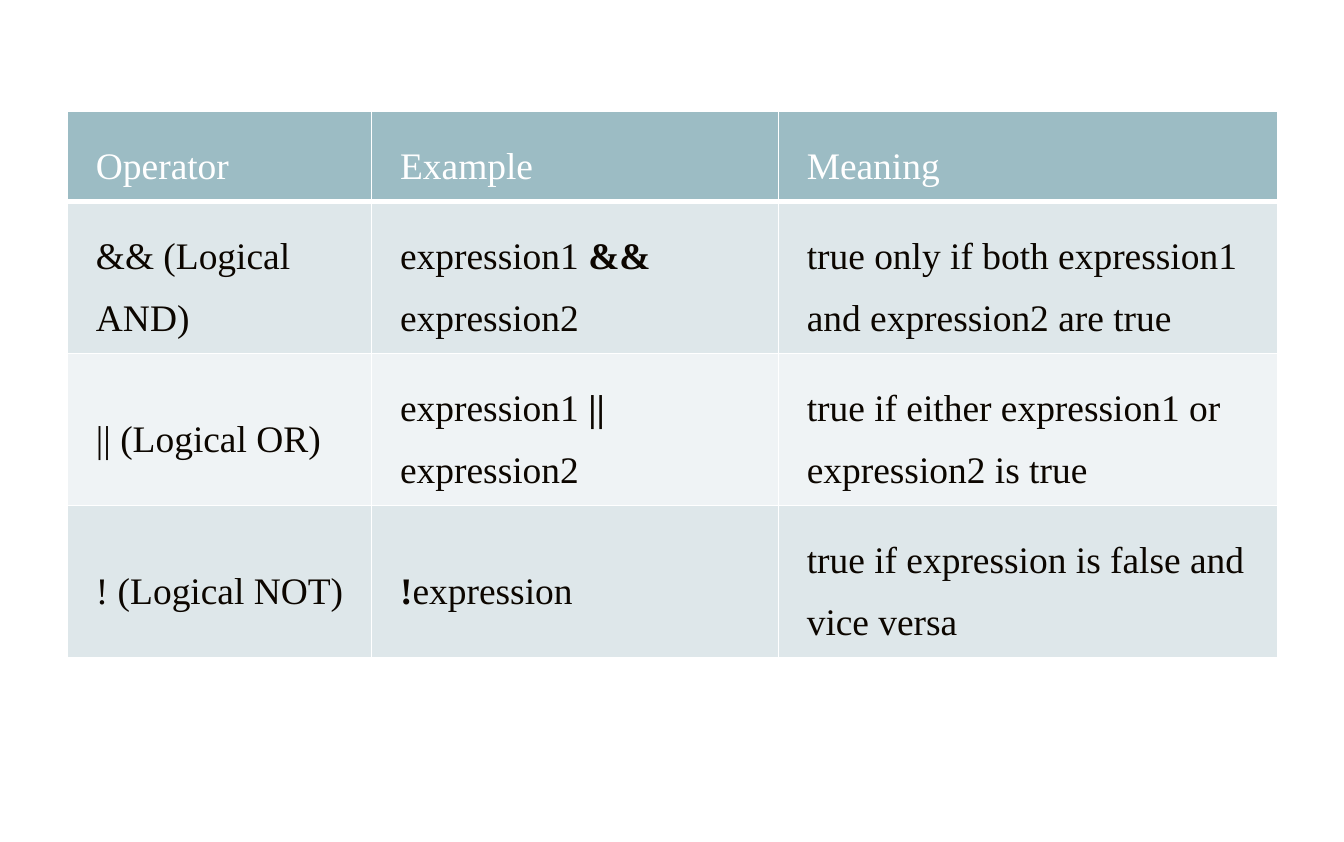
from lxml import etree
from pptx import Presentation
from pptx.dml.color import RGBColor
from pptx.enum import text
from pptx.oxml import ns
from pptx.util import Cm, Pt

# Each cell is a tuple of runs; the operator runs listed in BOLD are bold.
ROWS = [
    [("Operator",), ("Example",), ("Meaning",)],
    [("&& (Logical AND)",), ("expression1 ", "&&", " expression2"),
     ("true only if both expression1 and expression2 are true",)],
    [("|| (Logical OR)",), ("expression1 ", "||", " expression2"),
     ("true if either expression1 or expression2 is true",)],
    [("! (Logical NOT)",), ("!", "expression"),
     ("true if expression is false and vice versa",)],
]
BOLD = {"&&", "||", "!"}

WHITE = RGBColor(0xFF, 0xFF, 0xFF)
INK = RGBColor(0x0C, 0x06, 0x00)
HEADER = RGBColor(0x9C, 0xBC, 0xC4)
BANDS = [RGBColor(0xEF, 0xF3, 0xF5), RGBColor(0xDE, 0xE7, 0xEA)]

LEFT, TOP = Cm(1.53), Cm(2.53)
COL_WIDTHS = [Cm(6.88), Cm(9.2), Cm(11.28)]
HEADER_HEIGHT, BODY_HEIGHT = Cm(2.03), Cm(3.44)
PAD_X, PAD_Y = Cm(0.64), Cm(0.3)


def write(cell, runs, *, color, font="Times New Roman", size=24, spacing=1.5):
    p = cell.text_frame.paragraphs[0]
    p.line_spacing = spacing
    for words in runs:
        r = p.add_run()
        r.text = words
        r.font.name = font
        r.font.size = Pt(size)
        r.font.bold = words in BOLD
        r.font.color.rgb = color


def add_border(cell, side, width, color):
    """Put a line on one side (L, R, T or B); call before filling the cell."""
    tc_pr = cell._tc.get_or_add_tcPr()
    ln = etree.SubElement(tc_pr, ns.qn(f"a:ln{side}"), w=str(Pt(width)))
    fill = etree.SubElement(ln, ns.qn("a:solidFill"))
    etree.SubElement(fill, ns.qn("a:srgbClr"), val=str(color))


def main():
    prs = Presentation()
    prs.slide_width, prs.slide_height = Cm(30.4), Cm(19.05)
    s = prs.slides.add_slide(prs.slide_layouts[6])

    heights = [HEADER_HEIGHT] + [BODY_HEIGHT] * (len(ROWS) - 1)
    table = s.shapes.add_table(len(ROWS), len(COL_WIDTHS), LEFT, TOP,
                               sum(COL_WIDTHS), sum(heights)).table
    for column, width in zip(table.columns, COL_WIDTHS):
        column.width = width

    for i, (row, height, cells) in enumerate(zip(table.rows, heights, ROWS)):
        row.height = height
        for cell, runs in zip(row.cells, cells):
            cell.margin_left = cell.margin_right = PAD_X
            cell.margin_top = cell.margin_bottom = PAD_Y
            cell.vertical_anchor = text.MSO_ANCHOR.MIDDLE
            for side in "LRTB":
                header_edge = (i, side) in {(0, "B"), (1, "T")}
                add_border(cell, side, 3 if header_edge else 1, WHITE)
            cell.fill.solid()
            cell.fill.fore_color.rgb = BANDS[i % 2] if i else HEADER
            write(cell, runs, color=INK if i else WHITE)

    prs.save("out.pptx")


if __name__ == "__main__":
    main()
